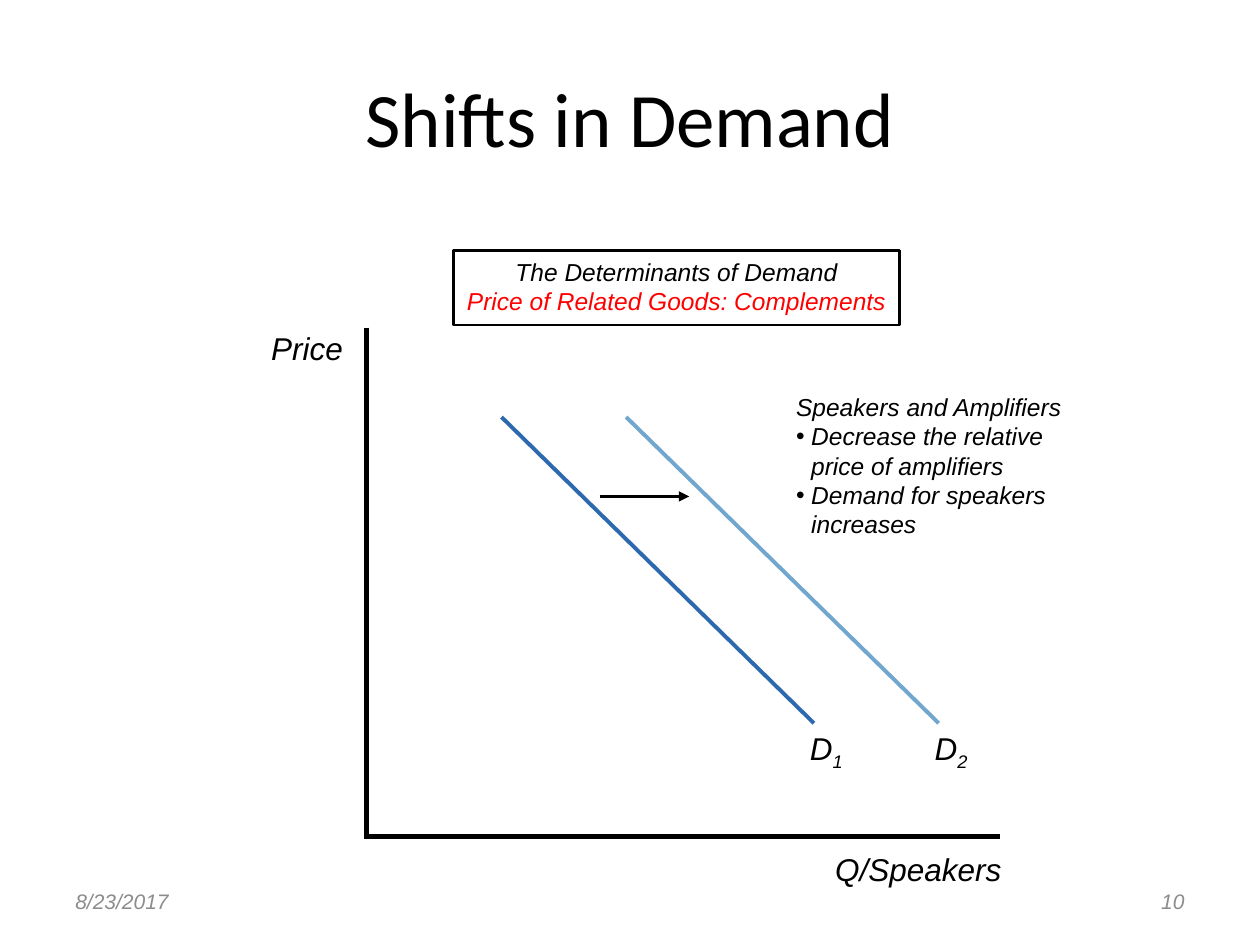
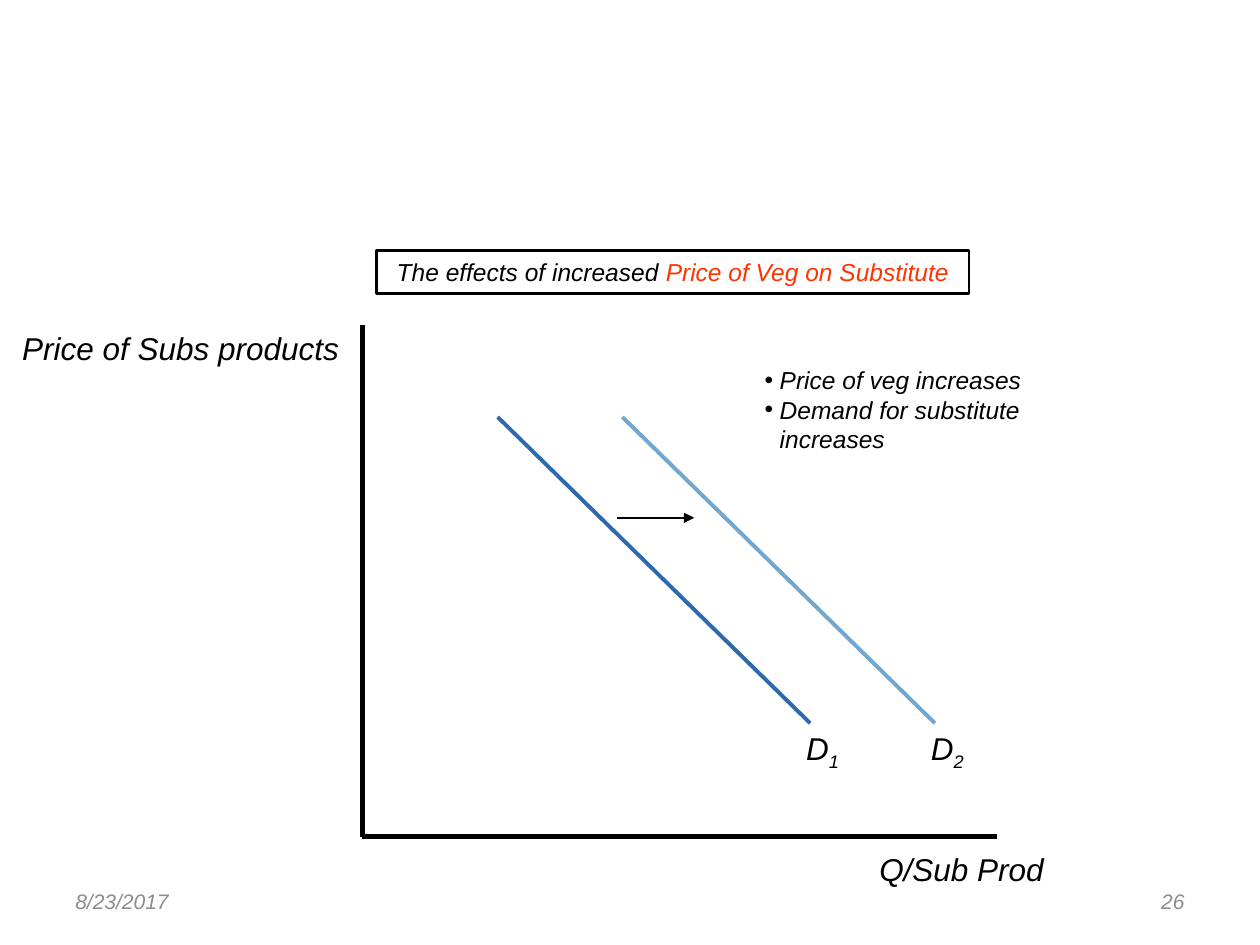
from lxml import etree
from pptx import Presentation
from pptx.dml.color import RGBColor
from pptx.enum.shapes import MSO_CONNECTOR, MSO_SHAPE
from pptx.enum.text import MSO_ANCHOR, PP_ALIGN
from pptx.oxml.ns import qn
from pptx.util import Inches, Pt

LEFT, CENTER, RIGHT = PP_ALIGN.LEFT, PP_ALIGN.CENTER, PP_ALIGN.RIGHT
TOP, MIDDLE = MSO_ANCHOR.TOP, MSO_ANCHOR.MIDDLE
STRAIGHT, RECTANGLE = MSO_CONNECTOR.STRAIGHT, MSO_SHAPE.RECTANGLE

COLORS = {
    "ink": "000000",
    "red": "FF0000",
    "orange": "FF3300",
    "demand_1": "2D69AE",
    "demand_2": "71A6CE",
    "footer": "8C8C8C",
}
TITLE = {"name": "Calibri", "size": Pt(44), "italic": False}
LABEL = {"name": "Arial", "size": Pt(18), "italic": True}
BODY = {"name": "Arial", "size": Pt(14), "italic": True}
FOOTER = {"name": "Arial", "size": Pt(12), "italic": True}

DATE = "8/23/2017"
LABEL_HEIGHT = 0.4
AXIS_BOTTOM = 6.64
CURVE_GAP = 0.99
BULLET_INDENT = 0.12


def color(name):
    return RGBColor.from_string(COLORS[name])


def add_run(p, text, style, color_name="ink"):
    r = p.add_run()
    r.text = text
    for key, value in style.items():
        setattr(r.font, key, value)
    r.font.color.rgb = color(color_name)
    return r


def fill_text(tf, paragraphs, style, align=LEFT, anchor=TOP, wrap=True):
    tf.word_wrap = wrap
    tf.vertical_anchor = anchor
    for i, runs in enumerate(paragraphs):
        p = tf.add_paragraph() if i else tf.paragraphs[0]
        p.alignment = align
        for text, color_name in runs:
            add_run(p, text, style, color_name)


def add_text(s, box, text, style, color_name="ink", **layout):
    tf = s.shapes.add_textbox(*map(Inches, box)).text_frame
    fill_text(tf, [[(text, color_name)]], style, **layout)
    return tf


def add_line(s, start, end, color_name, width, arrow=False):
    line = s.shapes.add_connector(STRAIGHT, *map(Inches, (*start, *end)))
    line.line.color.rgb = color(color_name)
    line.line.width = Pt(width)
    if arrow:
        etree.SubElement(line.line._get_or_add_ln(), qn("a:tailEnd"), type="triangle")
    etree.SubElement(line._element.spPr, qn("a:effectLst"))


def add_heading_frame(s, box, paragraphs):
    sp = s.shapes.add_shape(RECTANGLE, *map(Inches, box))
    sp.shadow.inherit = False
    sp.fill.background()
    sp.line.color.rgb = color("ink")
    sp.line.width = Pt(1.5)
    fill_text(sp.text_frame, paragraphs, BODY, align=CENTER, wrap=False)


def make_bullet(p):
    pPr = p._p.get_or_add_pPr()
    pPr.set("marL", str(Inches(BULLET_INDENT)))
    pPr.set("indent", str(-Inches(BULLET_INDENT)))
    etree.SubElement(pPr, qn("a:buFont"), typeface="Arial")
    etree.SubElement(pPr, qn("a:buChar"), char="•")


def add_notes_box(s, box, bullets, heading=None):
    lines = [heading, *bullets] if heading else bullets
    tf = s.shapes.add_textbox(*map(Inches, box)).text_frame
    fill_text(tf, [[(line, "ink")] for line in lines], BODY)
    for p in tf.paragraphs[-len(bullets):]:
        make_bullet(p)


def add_demand_curve(s, number, origin_x):
    x = origin_x + 1.07 + (number - 1) * CURVE_GAP
    add_line(s, (x, 3.31), (x + 2.48, 5.74), f"demand_{number}", 2.25)
    tf = add_text(s, (x + 2.35, 5.74, 0.47, LABEL_HEIGHT), "D", LABEL, wrap=False)
    subscript = add_run(tf.paragraphs[0], str(number), LABEL)
    subscript.font._element.set("baseline", "-25000")


def add_demand_graph(s, origin_x, axis_top, price, quantity, shift):
    add_line(s, (origin_x, axis_top), (origin_x, axis_top + 4.06), "ink", 3)
    add_line(s, (origin_x - 0.01, AXIS_BOTTOM), (origin_x + 5.03, AXIS_BOTTOM), "ink", 3)
    for number in (1, 2):
        add_demand_curve(s, number, origin_x)
    price_text, price_left, price_width = price
    add_text(s, (price_left, 2.56, price_width, LABEL_HEIGHT), price_text, LABEL,
             align=RIGHT, wrap=False)
    quantity_text, quantity_left = quantity
    add_text(s, (quantity_left, 6.7, 1.52, LABEL_HEIGHT), quantity_text, LABEL, wrap=False)
    shift_start, shift_end, shift_y = shift
    add_line(s, (shift_start, shift_y), (shift_end, shift_y), "ink", 1.5, arrow=True)


def add_footer(s, number):
    for left, text, align in ((0.5, DATE, LEFT), (7.17, str(number), RIGHT)):
        add_text(s, (left, 6.95, 2.33, 0.4), text, FOOTER, "footer",
                 align=align, anchor=MIDDLE)


def add_complements_slide(s):
    add_text(s, (0.5, 0.3, 9, 1.25), "Shifts in Demand", TITLE, align=CENTER, anchor=MIDDLE)
    add_heading_frame(s, (3.6, 1.99, 3.54, 0.59), [
        [("The Determinants of Demand", "ink")],
        [("Price of Related Goods: Complements", "red")],
    ])
    add_demand_graph(s, 2.91, 2.6, ("Price", 2.05, 0.77), ("Q/Speakers", 6.53),
                     (4.76, 5.47, 3.94))
    add_notes_box(s, (6.22, 3.06, 2.36, 1.26), [
        "Decrease the relative price of amplifiers",
        "Demand for speakers increases",
    ], heading="Speakers and Amplifiers")
    add_footer(s, 10)


def add_substitutes_slide(s):
    add_heading_frame(s, (2.99, 1.99, 4.7, 0.34), [
        [("The effects of increased ", "ink"), ("Price of Veg on Substitute", "orange")],
    ])
    add_demand_graph(s, 2.88, 2.58, ("Price of Subs products", 0.05, 2.74),
                     ("Q/Sub Prod", 6.88), (4.9, 5.51, 4.11))
    add_notes_box(s, (5.97, 2.85, 2.26, 0.81), [
        "Price of veg increases",
        "Demand for substitute increases",
    ])
    add_footer(s, 26)


def main():
    prs = Presentation()
    prs.slide_width, prs.slide_height = Inches(10), Inches(7.5)
    for build in (add_complements_slide, add_substitutes_slide):
        build(prs.slides.add_slide(prs.slide_layouts[6]))
    prs.save("out.pptx")


if __name__ == "__main__":
    main()
